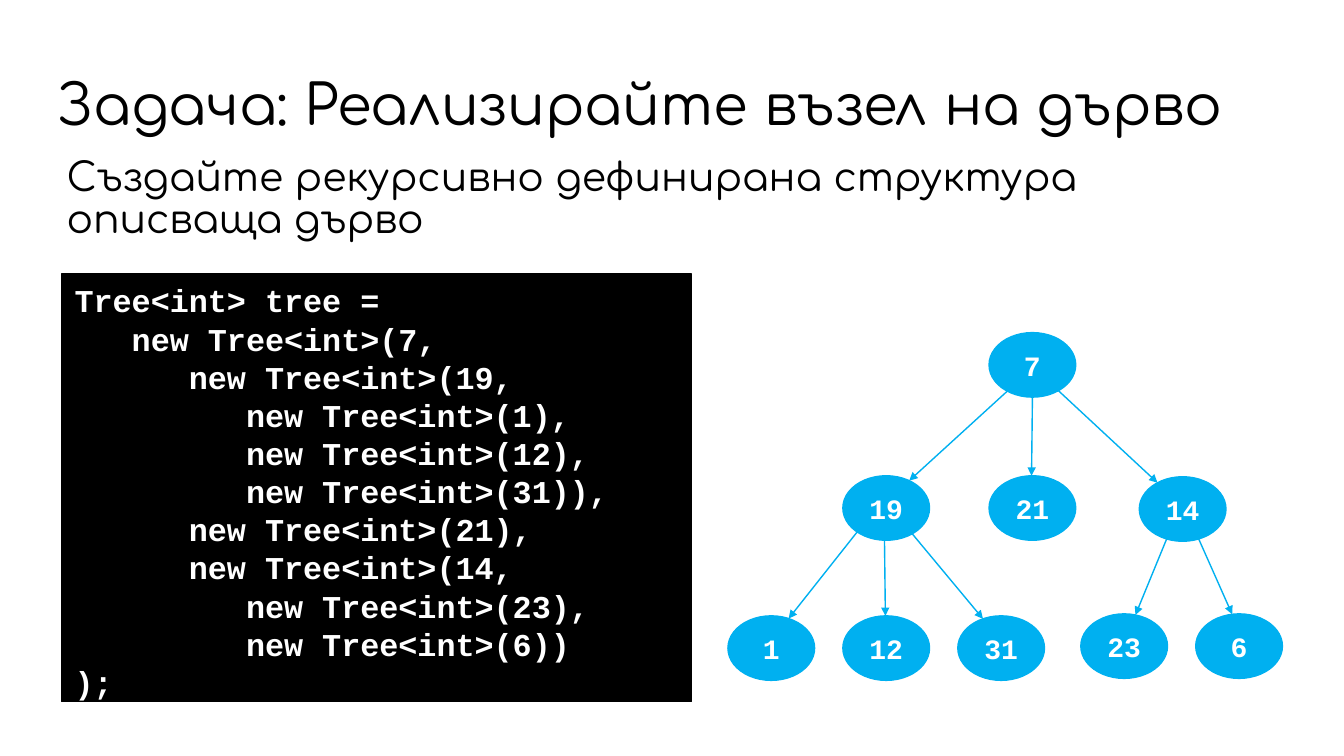
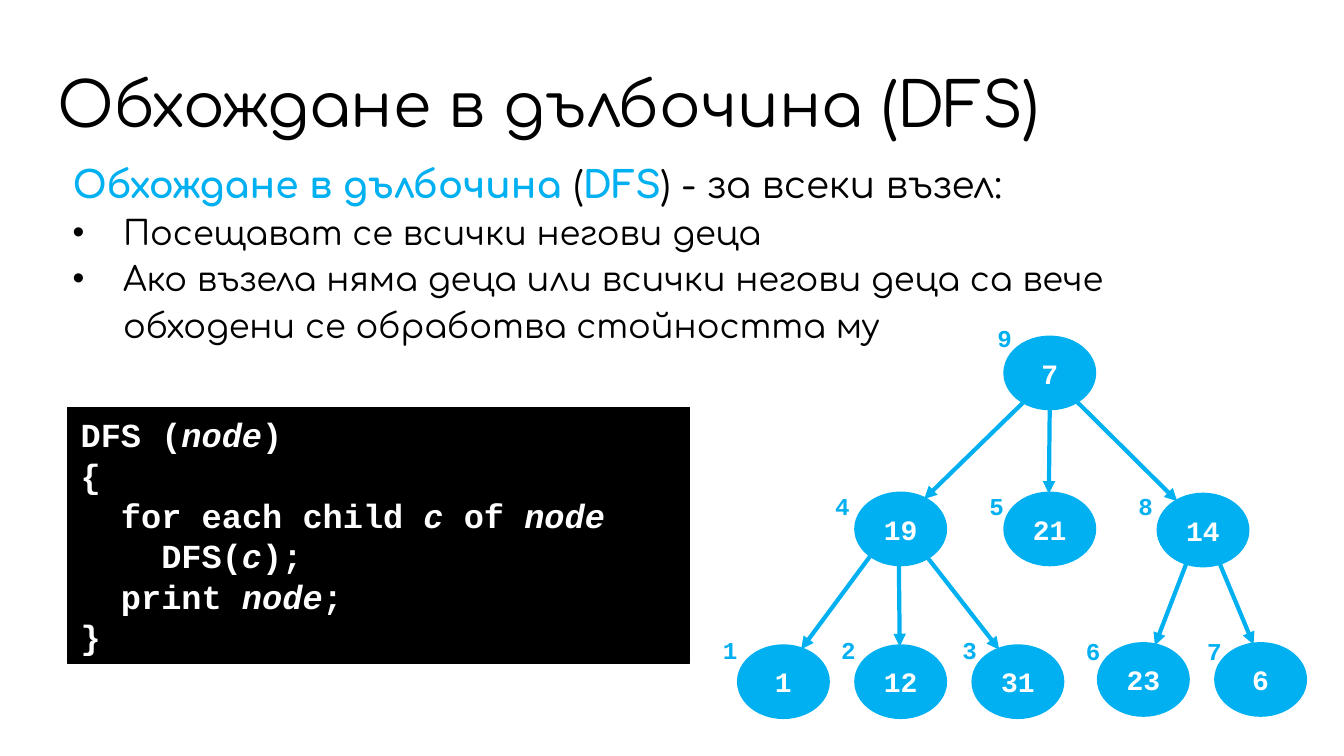
"""Two slides on trees: a recursive node and depth-first traversal."""
from dataclasses import dataclass
from math import sqrt

from lxml.etree import SubElement
from pptx import Presentation
from pptx.dml.color import RGBColor as Rgb
from pptx.enum.shapes import MSO_CONNECTOR as Connector, MSO_SHAPE as Shape
from pptx.enum.text import MSO_ANCHOR as Anchor, PP_ALIGN as Align
from pptx.oxml.ns import qn
from pptx.util import Inches, Pt


@dataclass(frozen=True)
class Theme:
    """Shared colours, fonts, type sizes and insets."""
    ink: str = "000000"
    paper: str = "FFFFFF"
    accent: str = "00B0F0"
    text_font: str = "Comfortaa"
    code_font: str = "Courier New"
    bullet_font: str = "Arial"
    bullet_size: float = 24
    node_size: float = 20
    visit_size: float = 17.3
    text_inset: tuple = (0.12, 0.04)
    shape_inset: tuple = (0.13, 0.07)
    title_spacing: float = 0.9
    code_spacing: float = 1.0


THEME = Theme()
SLIDE_SIZE = (13.33, 7.5)
TITLE_PLACE = (0.45, 0.65, 12.42, 0.84)
BULLET_INDENT = (0.65, -0.5)
VISIT_BOX = (0.38, 0.39)

NODES = {
    "7": dict(at=(2.59, 0), visit="9", shift=(-0.21, -0.21)),
    "19": dict(at=(1.14, 1.42), visit="4", shift=(-0.34, -0.09)),
    "21": dict(at=(2.59, 1.42), visit="5", shift=(-0.29, -0.09)),
    "14": dict(at=(4.08, 1.43), visit="8", shift=(-0.33, -0.1)),
    "1": dict(at=(0, 2.81), visit="1", shift=(-0.29, -0.18)),
    "12": dict(at=(1.14, 2.81), visit="2", shift=(-0.28, -0.18)),
    "31": dict(at=(2.28, 2.81), visit="3", shift=(-0.24, -0.18)),
    "23": dict(at=(3.5, 2.79), visit="6", shift=(-0.26, -0.15)),
    "6": dict(at=(4.64, 2.79), visit="7", shift=(-0.22, -0.15)),
}
EDGES = [
    ("7", "19", -0.58, 0.53), ("7", "21", 0, -0.02), ("7", "14", 0.6, -0.58),
    ("19", "1", -0.67, 0.4), ("19", "12", -0.04, -0.02), ("19", "31", 0.6, -0.42),
    ("14", "23", -0.37, 0.26), ("14", "6", 0.37, -0.16),
]
SLIDES = [
    dict(
        title="Задача: Реализирайте възел на дърво", title_size=40,
        body=["Създайте рекурсивно дефинирана структура описваща дърво"],
        body_place=(0.45, 1.52, 12.42, 1.42), body_size=28, body_spacing=0.9, indent=0.09,
        code=[
            "Tree<int> tree =",
            "   new Tree<int>(7,",
            "      new Tree<int>(19,",
            "         new Tree<int>(1),",
            "         new Tree<int>(12),",
            "         new Tree<int>(31)),",
            "      new Tree<int>(21),",
            "      new Tree<int>(14,",
            "         new Tree<int>(23),",
            "         new Tree<int>(6))",
            ");",
        ],
        code_place=(0.61, 2.72, 6.25, 4.24), code_size=22.7,
        tree=dict(origin=(7.22, 3.3), scale=(1, 1), node=(0.86, 0.64), weight=1, visits=False),
    ),
    dict(
        title="Обхождане в дълбочина (DFS)", title_size=44,
        body=["*Обхождане в дълбочина *(*DFS*) - за всеки възел:"],
        bullets=["Посещават се всички негови деца",
                 "Ако възела няма деца или всички негови деца са вече обходени се обработва стойността му"],
        body_place=(0.45, 1.49, 11.72, 2.31), body_size=26.67, body_spacing=1.15, indent=0.15,
        code=[
            "DFS (*node*)",
            "{",
            "  for each child *c* of *node*",
            "    DFS(*c*);",
            "  print *node*;",
            "}",
        ],
        code_place=(0.67, 4.04, 6.17, 2.54), code_size=24,
        tree=dict(origin=(7.33, 3.35), scale=(1.02, 1.09), node=(0.88, 0.7), weight=3, visits=True),
    ),
]


def inches(values):
    """Turn a sequence of numbers into lengths."""
    return [Inches(value) for value in values]


def apply(target, formats):
    """Set every attribute named in a dict."""
    for name, value in formats.items():
        setattr(target, name, value)


def prepare(frame, inset, anchor=Anchor.TOP):
    """Set wrapping, anchor and insets of a text frame."""
    across, down = inches(inset)
    apply(frame, dict(word_wrap=True, vertical_anchor=anchor, margin_left=across,
                      margin_right=across, margin_top=down, margin_bottom=down))


def write(para, text, size, color, font, emphasis=None, **formats):
    """Fill a paragraph, with emphasis on the parts between asterisks."""
    apply(para, formats)
    for index, part in enumerate(text.split("*")):
        if not part:
            continue
        span = para.add_run()
        span.text = part
        look = dict(size=Pt(size), name=font, bold=font == THEME.code_font, color=color)
        if index % 2:
            look.update(emphasis)
        span.font.color.rgb = Rgb.from_string(look.pop("color"))
        apply(span.font, look)


def set_indent(para, left, first=0, bullet=None):
    """Indent a paragraph and give it a bullet if one is named."""
    props = para._p.get_or_add_pPr()
    props.set("marL", str(Inches(left)))
    props.set("indent", str(Inches(first)))
    if bullet:
        SubElement(props, qn("a:buFont"), typeface=THEME.bullet_font)
        SubElement(props, qn("a:buChar"), char=bullet)


def paragraphs(frame, count):
    """Return the given number of paragraphs of a fresh frame."""
    return [frame.paragraphs[0]] + [frame.add_paragraph() for _ in range(count - 1)]


def add_solid(shapes, kind, place, color, weight, anchor):
    """Add a filled shape and return its text frame."""
    shape = shapes.add_shape(kind, *inches(place))
    shape.shadow.inherit = False
    shape.fill.solid()
    for paint in (shape.fill.fore_color, shape.line.color):
        paint.rgb = Rgb.from_string(color)
    shape.line.width = Pt(weight)
    prepare(shape.text_frame, THEME.shape_inset, anchor)
    return shape.text_frame


def add_text(page, content):
    """Add the title and the body."""
    frame = page.shapes.add_textbox(*inches(TITLE_PLACE)).text_frame
    prepare(frame, THEME.text_inset, Anchor.MIDDLE)
    write(frame.paragraphs[0], content["title"], content["title_size"], THEME.ink,
          THEME.text_font, line_spacing=THEME.title_spacing)
    frame = page.shapes.add_textbox(*inches(content["body_place"])).text_frame
    prepare(frame, THEME.text_inset)
    rows = [(text, content["body_size"], (content["indent"],)) for text in content["body"]]
    rows += [(text, THEME.bullet_size, (*BULLET_INDENT, "•")) for text in content.get("bullets", [])]
    for para, (text, size, indent) in zip(paragraphs(frame, len(rows)), rows):
        set_indent(para, *indent)
        write(para, text, size, THEME.ink, THEME.text_font,
              dict(color=THEME.accent, bold=True), line_spacing=content["body_spacing"])


def add_code(page, content):
    """Add the code panel."""
    frame = add_solid(page.shapes, Shape.RECTANGLE, content["code_place"], THEME.ink, 1, Anchor.TOP)
    lines = content["code"]
    for para, line in zip(paragraphs(frame, len(lines)), lines):
        write(para, line, content["code_size"], THEME.paper, THEME.code_font, dict(italic=True),
              alignment=Align.LEFT, line_spacing=THEME.code_spacing)


def add_arrow(shapes, start, end, weight):
    """Add a line with an arrowhead at its end."""
    arrow = shapes.add_connector(Connector.STRAIGHT, *inches((*start, *end)))
    arrow.line.color.rgb = Rgb.from_string(THEME.accent)
    arrow.line.width = Pt(weight)
    SubElement(arrow.line._get_or_add_ln(), qn("a:tailEnd"), type="triangle")
    SubElement(arrow._element.spPr, qn("a:effectLst"))


def add_tree(page, origin, scale, node, weight, visits):
    """Add nodes, arrows and, if asked, the order of visits."""
    shapes = page.shapes.add_group_shape().shapes
    corners = {name: [start + step * factor for start, step, factor in zip(origin, item["at"], scale)]
               for name, item in NODES.items()}

    def rim(name, share, side):
        """Return the point of an ellipse at a share of its half width."""
        left, top = corners[name]
        width, height = node
        return (left + width / 2 * (1 + share), top + height / 2 * (1 + side * sqrt(1 - share ** 2)))

    for parent, child, leave, arrive in EDGES:
        add_arrow(shapes, rim(parent, leave, 1), rim(child, arrive, -1), weight)
    for name, item in NODES.items():
        left, top = corners[name]
        frame = add_solid(shapes, Shape.OVAL, (left, top, *node), THEME.accent, weight, Anchor.MIDDLE)
        write(frame.paragraphs[0], name, THEME.node_size, THEME.paper, THEME.code_font,
              alignment=Align.CENTER)
        if visits:
            across, down = item["shift"]
            box = shapes.add_textbox(*inches((left + across, top + down, *VISIT_BOX)))
            prepare(box.text_frame, THEME.shape_inset)
            write(box.text_frame.paragraphs[0], item["visit"], THEME.visit_size, THEME.accent,
                  THEME.code_font)


def main():
    """Build and save the deck."""
    deck = Presentation()
    deck.slide_width, deck.slide_height = inches(SLIDE_SIZE)
    for content in SLIDES:
        page = deck.slides.add_slide(deck.slide_layouts[6])
        add_text(page, content)
        add_code(page, content)
        add_tree(page, **content["tree"])
    deck.save("out.pptx")


if __name__ == "__main__":
    main()
